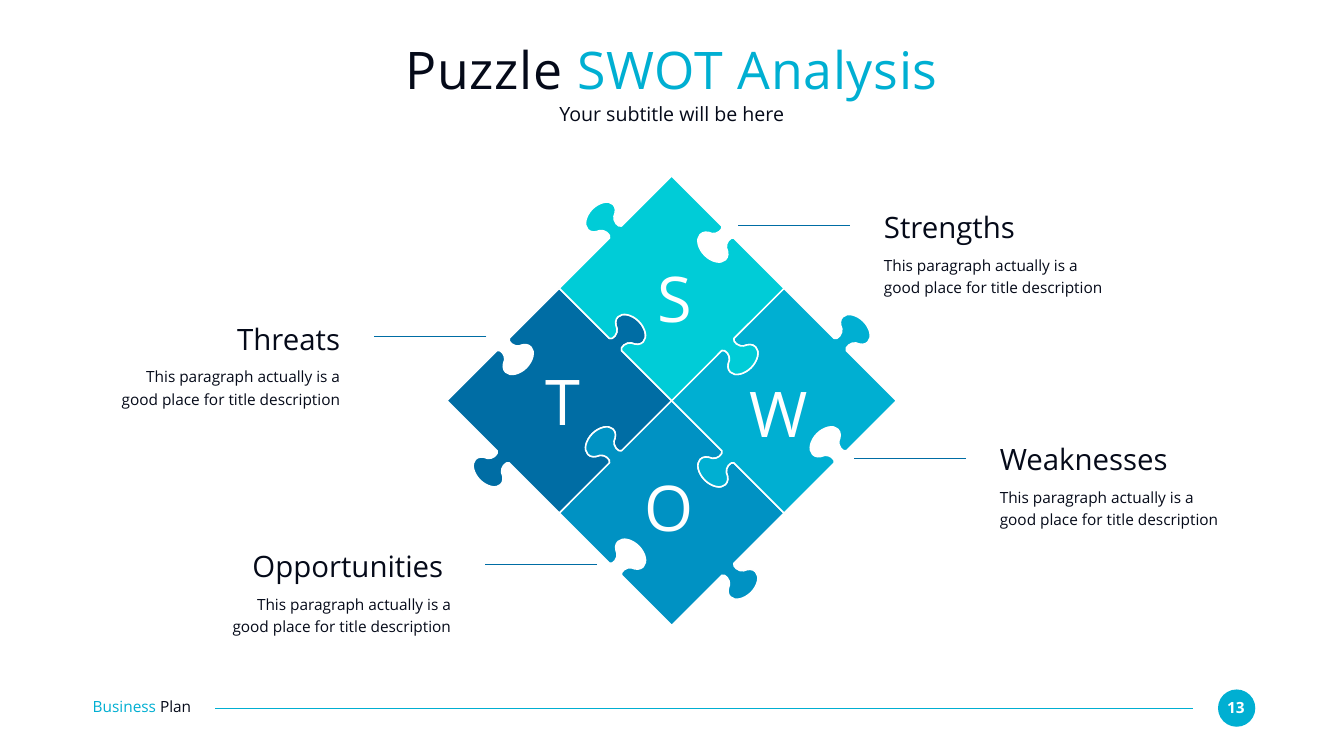
from lxml.etree import SubElement
from pptx import Presentation
from pptx.dml.color import RGBColor
from pptx.enum.shapes import MSO_CONNECTOR, MSO_SHAPE
from pptx.enum.text import MSO_ANCHOR, PP_ALIGN
from pptx.oxml.ns import qn
from pptx.util import Pt

PX = 9144
HUES = {
    "ink": "050A19", "white": "FFFFFF", "cyan": "00AFD2",
    "aqua": "00CCD7", "blue": "0092C3", "navy": "006DA4",
}
FACE = "Open Sans"
BODY = "This paragraph actually is a good place for title description"
KNOB = [(12, 0), (10, 1), (8, 4), (9, 8), (9, 12), (12, 15), (14, 17),
        (21, 20), (25, 24), (25, 30), (25, 39), (13, 46), (0, 46)]


def tint(name):
    """Return the named colour."""
    return RGBColor.from_string(HUES[name])


def apply(item, values):
    """Set each attribute in values on item."""
    for key, value in values.items():
        setattr(item, key, value)


def write(slide, box, runs, size, align=PP_ALIGN.LEFT, lead=None,
          bold=None, anchor=MSO_ANCHOR.TOP, gap=None):
    """Add a text box holding one paragraph of (text, colour) runs."""
    frame = slide.shapes.add_textbox(*[n * PX for n in box]).text_frame
    apply(frame, {
        "word_wrap": True, "vertical_anchor": anchor,
        "margin_left": 0, "margin_right": 0,
        "margin_top": 0, "margin_bottom": 0,
    })
    para = frame.paragraphs[0]
    apply(para, {"alignment": align, "line_spacing": lead})
    for text, hue in runs:
        run = para.add_run()
        run.text = text
        apply(run.font, {"name": FACE, "size": Pt(size), "bold": bold})
        run.font.color.rgb = tint(hue)
        if gap:
            run.font._element.set("spc", str(gap))


def rule(slide, left, right, y, hue):
    """Add a level thin line."""
    line = slide.shapes.add_connector(
        MSO_CONNECTOR.STRAIGHT, right * PX, y * PX, left * PX, y * PX)
    line.line.width = Pt(1.5)
    line.line.color.rgb = tint(hue)
    SubElement(line._element.spPr, qn("a:effectLst"))


def trace(path, kind, dots):
    """Add one drawing step with its points to a path."""
    step = SubElement(path, qn(f"a:{kind}"))
    for x, y in dots:
        SubElement(step, qn("a:pt"), x=str(round(x * PX)), y=str(round(y * PX)))


def outline(path, size, sign):
    """Draw a diamond with knobs and notches on alternate edges."""
    edge = [(-u, v) for u, v in KNOB] + KNOB[-2::-1]
    ex, ey, nx, ny = 1, -1, -1, -1
    trace(path, "moveTo", [(0, size)])
    for _ in range(4):
        mx, my = size + nx * size / 2, size + ny * size / 2
        dots = [(mx + ex * u + nx * v * sign, my + ey * u + ny * v * sign)
                for u, v in edge]
        trace(path, "lnTo", dots[:1])
        for i in range(1, len(dots), 3):
            trace(path, "cubicBezTo", dots[i:i + 3])
        trace(path, "lnTo", [(mx + ex * size / 2, my + ey * size / 2)])
        ex, ey, nx, ny = -ey, ex, -ny, nx
        sign = -sign
    SubElement(path, qn("a:close"))


def piece(slide, x, y, size, sign, hue):
    """Add one puzzle piece around a centre."""
    pen = slide.shapes.build_freeform(x - size, y, scale=PX)
    pen.add_line_segments([(x, y - size), (x + size, y), (x, y + size)])
    shape = pen.convert_to_shape()
    path = shape._element.find(".//" + qn("a:path"))
    for step in list(path):
        path.remove(step)
    outline(path, size, sign)
    path.set("w", str(2 * size * PX))
    path.set("h", str(2 * size * PX))
    shape.shadow.inherit = False
    shape.fill.solid()
    shape.fill.fore_color.rgb = tint(hue)
    shape.line.color.rgb = tint("white")
    shape.line.width = Pt(2.25)


def puzzle(slide, x, y, size):
    """Add four interlocking pieces around a centre, then their letters."""
    parts = [("T", -1, 0, -1, "navy", -321, -76),
             ("O", 0, 1, 1, "blue", -111, 135),
             ("W", 1, 0, -1, "cyan", 107, -51),
             ("S", 0, -1, 1, "aqua", -98, -281)]
    for _, dx, dy, sign, hue, _, _ in parts:
        piece(slide, x + dx * size, y + dy * size, size, sign, hue)
    for text, _, _, _, _, left, top in parts:
        write(slide, (x + left, y + top, 210, 151), [(text, "white")], 90,
              PP_ALIGN.CENTER)


def note(slide, x, y, drop, title, right):
    """Add a heading and its text, with a line on the puzzle side."""
    wide, gap, span = 454, 68, 222
    align = PP_ALIGN.LEFT if right else PP_ALIGN.RIGHT
    write(slide, (x, y, wide, 71), [(title, "ink")], 42, align)
    write(slide, (x, y + 85, wide, 89), [(BODY, "ink")], 22, align, 1.2)
    left = x - gap - span if right else x + wide + gap
    rule(slide, left, left + span, y + drop, "navy")


def header(slide, x, y, wide):
    """Add the title and subtitle."""
    write(slide, (x, y, wide, 127),
          [("Puzzle ", "ink"), ("SWOT Analysis", "cyan")], 74,
          PP_ALIGN.CENTER, anchor=MSO_ANCHOR.MIDDLE, gap=100)
    write(slide, (x, y + 130, wide, 49),
          [("Your subtitle will be here", "ink")], 28, PP_ALIGN.CENTER)


def footer(slide, x, y, wide):
    """Add the deck name, a line and the page badge."""
    size = 74
    left = x + wide - size
    disc = slide.shapes.add_shape(
        MSO_SHAPE.OVAL, *[n * PX for n in (left, y, size, size)])
    disc.shadow.inherit = False
    disc.fill.solid()
    disc.fill.fore_color.rgb = tint("cyan")
    disc.line.fill.background()
    write(slide, (left + 6, y + 17, 59, 37), [("13", "white")], 22,
          PP_ALIGN.CENTER, bold=True)
    rule(slide, x + 243, left - 50, y + size // 2, "cyan")
    write(slide, (x, y + 16, 259, 37),
          [("Business ", "cyan"), ("Plan", "ink")], 22)


def main():
    """Build and save the slide."""
    deck = Presentation()
    apply(deck, {"slide_width": 2667 * PX, "slide_height": 1500 * PX})
    slide = deck.slides.add_slide(deck.slide_layouts[6])
    footer(slide, 184, 1368, 2307)
    header(slide, 183, 73, 2300)
    puzzle(slide, 1333, 795, 223)
    for row in [(221, 637, 31, "Threats", False),
                (441, 1088, 32, "Opportunities ", False),
                (1754, 415, 33, "Strengths", True),
                (1984, 876, 34, "Weaknesses", True)]:
        note(slide, *row)
    deck.save("out.pptx")


if __name__ == "__main__":
    main()
